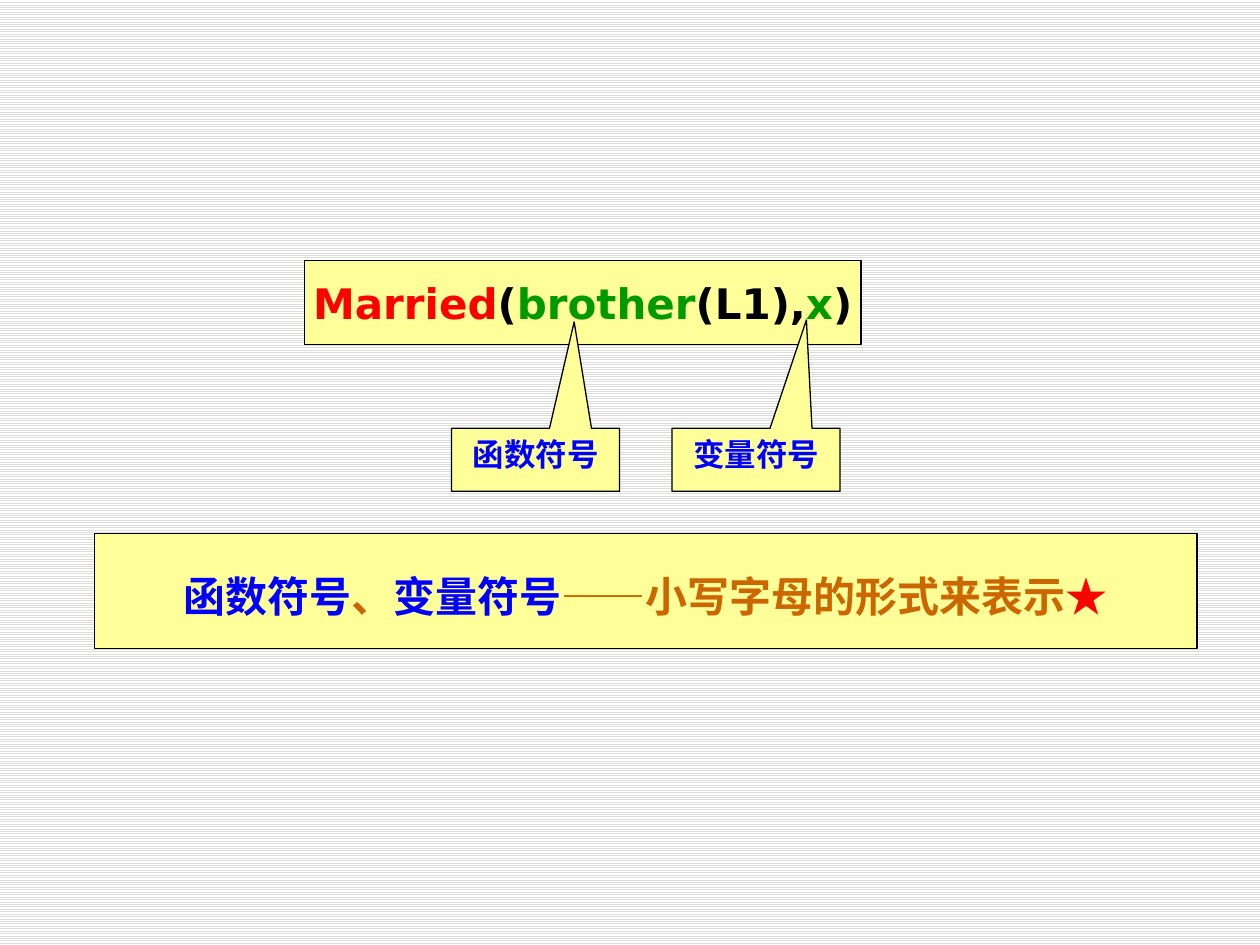
"""Build the slide on naming function and variable symbols in predicate logic."""
from lxml.etree import SubElement
from pptx import Presentation
from pptx.dml.color import RGBColor as RGB
from pptx.enum.dml import MSO_PATTERN as PATTERN
from pptx.enum.shapes import MSO_SHAPE as SHAPE
from pptx.enum.text import MSO_ANCHOR as ANCHOR, PP_ALIGN as ALIGN
from pptx.oxml.ns import qn
from pptx.util import Inches, Pt

THEME = {
    "red": RGB(255, 0, 0), "green": RGB(0, 153, 0), "blue": RGB(0, 0, 255),
    "orange": RGB(204, 102, 0), "black": RGB(0, 0, 0), "white": RGB(255, 255, 255),
    "panel": RGB(255, 255, 153), "stripe": RGB(221, 221, 221),
    "latin": "DejaVu Sans", "cjk": "Noto Sans CJK SC",
    "large": Pt(24), "small": Pt(18), "line": Pt(0.75),
}

prs = Presentation()
prs.slide_width, prs.slide_height = Inches(10), Inches(7.5)
COL, ROW = prs.slide_width / 120, prs.slide_height / 90
slide = prs.slides.add_slide(prs.slide_layouts[6])
bg = slide.background.fill
bg.patterned()
bg.pattern = PATTERN.LIGHT_HORIZONTAL
bg.fore_color.rgb, bg.back_color.rgb = THEME["stripe"], THEME["white"]


def add_panel(kind, grid, runs, size, anchor, wrap):
    col, row, cols, rows = grid
    s = slide.shapes.add_shape(kind, round(col * COL), round(row * ROW),
                               round(cols * COL), round(rows * ROW))
    s.shadow.inherit = False
    s.fill.solid()
    s.fill.fore_color.rgb = THEME["panel"]
    s.line.color.rgb, s.line.width = THEME["black"], THEME["line"]
    tf = s.text_frame
    tf.word_wrap, tf.vertical_anchor = wrap, anchor
    p = tf.paragraphs[0]
    p.alignment = ALIGN.CENTER
    for text, color, face in runs:
        r = p.add_run()
        r.text = text
        r.font.color.rgb = THEME[color]
        for name, value in {"size": THEME[size], "bold": True, "name": THEME[face]}.items():
            setattr(r.font, name, value)
        SubElement(r.font._element, qn("a:ea"), typeface=THEME["cjk"])
    return s


formula = [("Married", "red", "latin"), ("(", "black", "latin"),
           ("brother", "green", "latin"), ("(L1),", "black", "latin"),
           ("x", "green", "latin"), (")", "black", "latin")]
rule = [("函数符号", "blue", "latin"), ("、", "orange", "latin"),
        ("变量符号", "blue", "latin"), ("——", "orange", "cjk"),
        ("小写字母的形式来表示", "orange", "latin"), ("★", "red", "cjk")]
callouts = [("变量符号", 64, (0.3, -2.22)), ("函数符号", 43, (0.23, -2.19))]

add_panel(SHAPE.RECTANGLE, (29, 24.84, 53, 8), formula, "large", ANCHOR.MIDDLE, False)
s = add_panel(SHAPE.RECTANGLE, (9, 50.8, 105, 11), rule, "large", ANCHOR.MIDDLE, False)
s.text_frame.paragraphs[0].line_spacing = 1.2
for label, col, tip in callouts:
    s = add_panel(SHAPE.RECTANGULAR_CALLOUT, (col, 40.8, 16, 6),
                  [(label, "blue", "latin")], "small", ANCHOR.TOP, True)
    s.adjustments[0], s.adjustments[1] = tip

prs.save("out.pptx")
